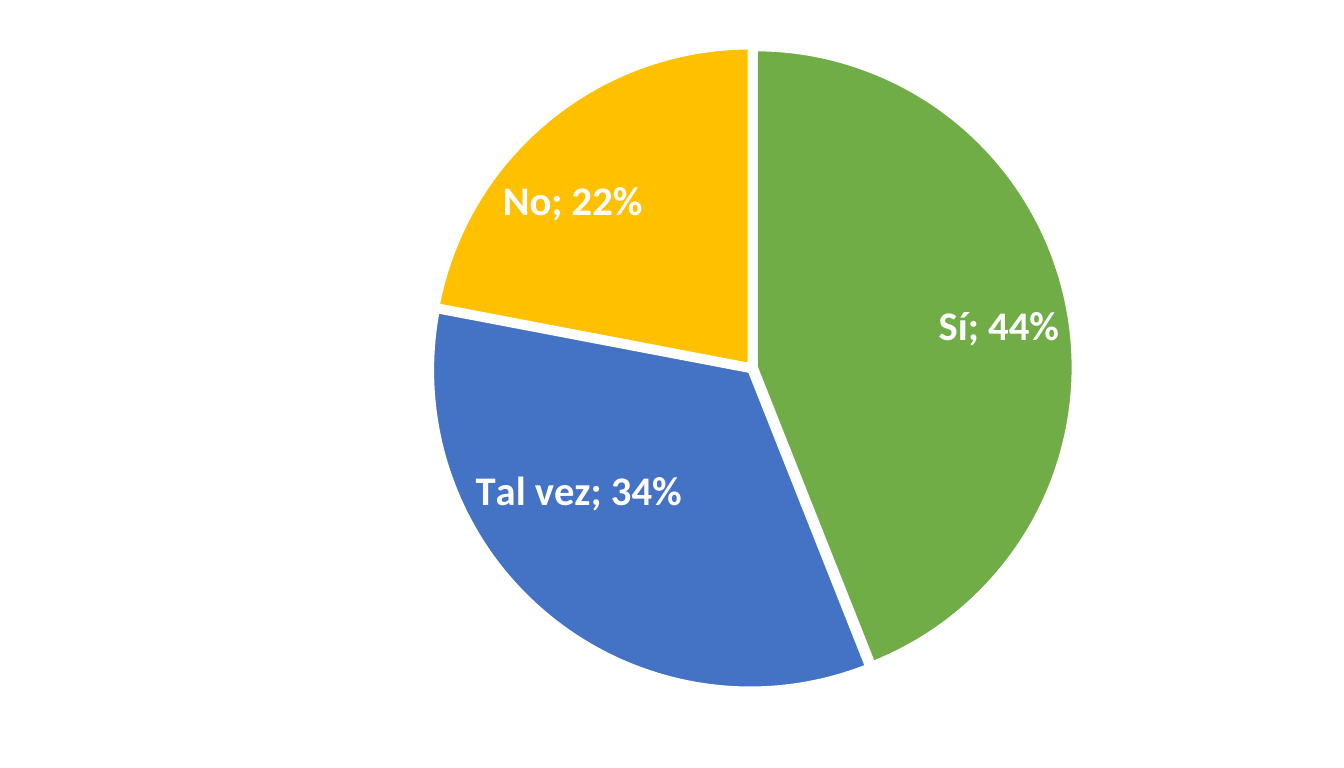
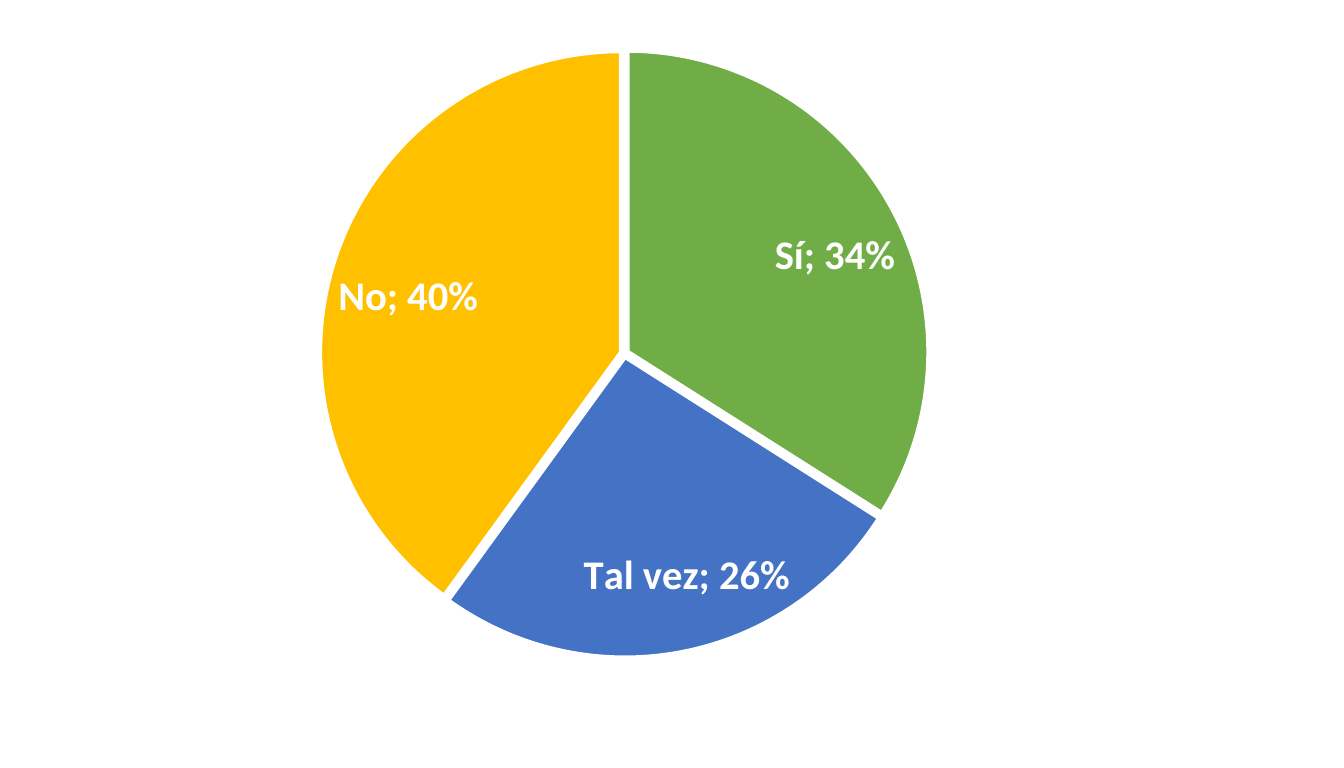
from pptx import Presentation
from pptx.chart.data import CategoryChartData
from pptx.dml.color import RGBColor
from pptx.enum.chart import XL_CHART_TYPE, XL_LABEL_POSITION
from pptx.oxml import parse_xml
from pptx.oxml.ns import nsdecls, qn
from pptx.util import Pt

# Content: answers, then each slide's shares and pie place (fractions of the chart)
ANSWERS = ["Sí", "Tal vez", "No"]
PIES = [
    {"shares": (0.44, 0.34, 0.22), "plot": {"x": 0.3, "y": 0.04, "w": 0.53, "h": 0.88}},
    {"shares": (0.34, 0.26, 0.4), "plot": {"x": 0.21, "y": 0.04, "w": 0.5, "h": 0.84}},
]

# Shared style
COLORS = {"Sí": "70AD47", "Tal vez": "4472C4", "No": "FFC000",
          "white": "FFFFFF", "black": "000000"}
FONT = "Calibri"
SLIDE_SIZE = (Pt(396.72), Pt(226.8))
CHART_BOX = (Pt(18.72), Pt(5.04), Pt(360), Pt(216))


def color(name):
    return RGBColor.from_string(COLORS[name])


def style_font(font, size, name, bold=False):
    font.name, font.size, font.bold = FONT, Pt(size), bold
    font.color.rgb = color(name)


def place_plot(chart, plot):
    """Fix the inner plot area at the given fractions of the chart."""
    sizes = "".join(f'<c:{key} val="{value}"/>' for key, value in plot.items())
    layout = parse_xml(
        f'<c:layout {nsdecls("c")}><c:manualLayout><c:layoutTarget val="inner"/>'
        f'<c:xMode val="edge"/><c:yMode val="edge"/>{sizes}</c:manualLayout></c:layout>')
    area = chart._chartSpace.find(".//" + qn("c:plotArea"))
    for old in area.findall(qn("c:layout")):
        area.remove(old)
    area.insert(0, layout)


def style_slices(series):
    explosion = parse_xml(f'<c:explosion {nsdecls("c")} val="1"/>')
    series._element.find(qn("c:tx")).addnext(explosion)
    for index, answer in enumerate(ANSWERS):
        look = series.points[index].format
        look.fill.solid()
        look.fill.fore_color.rgb = color(answer)
        look.line.color.rgb = color("white")
        look.line.width = Pt(1.5)


def style_labels(labels):
    labels.show_value = True
    labels.show_category_name = True
    labels.show_percentage = False
    labels.show_legend_key = False
    labels.number_format = "0%"
    labels.number_format_is_linked = False
    labels.position = XL_LABEL_POSITION.BEST_FIT
    style_font(labels.font, 12, "white", bold=True)
    separator = parse_xml(f'<c:separator {nsdecls("c")}>; </c:separator>')
    holder = labels._element
    last_flag = holder.find(qn("c:showBubbleSize"))
    if last_flag is None:
        last_flag = holder.find(qn("c:showPercent"))
    last_flag.addnext(separator)


def add_pie(page, shares, plot):
    data = CategoryChartData(number_format="0%")
    data.categories = ANSWERS
    data.add_series("Series 1", shares)
    chart = page.shapes.add_chart(XL_CHART_TYPE.PIE, *CHART_BOX, data).chart
    chart.has_title = False
    chart.has_legend = False
    style_font(chart.font, 10, "black")
    chart.plots[0].vary_by_categories = True
    series = chart.plots[0].series[0]
    style_slices(series)
    style_labels(series.data_labels)
    place_plot(chart, plot)


# Build the deck
deck = Presentation()
deck.slide_width, deck.slide_height = SLIDE_SIZE
for pie in PIES:
    page = deck.slides.add_slide(deck.slide_layouts[6])
    page.background.fill.solid()
    page.background.fill.fore_color.rgb = color("white")
    add_pie(page, **pie)
deck.save("out.pptx")
